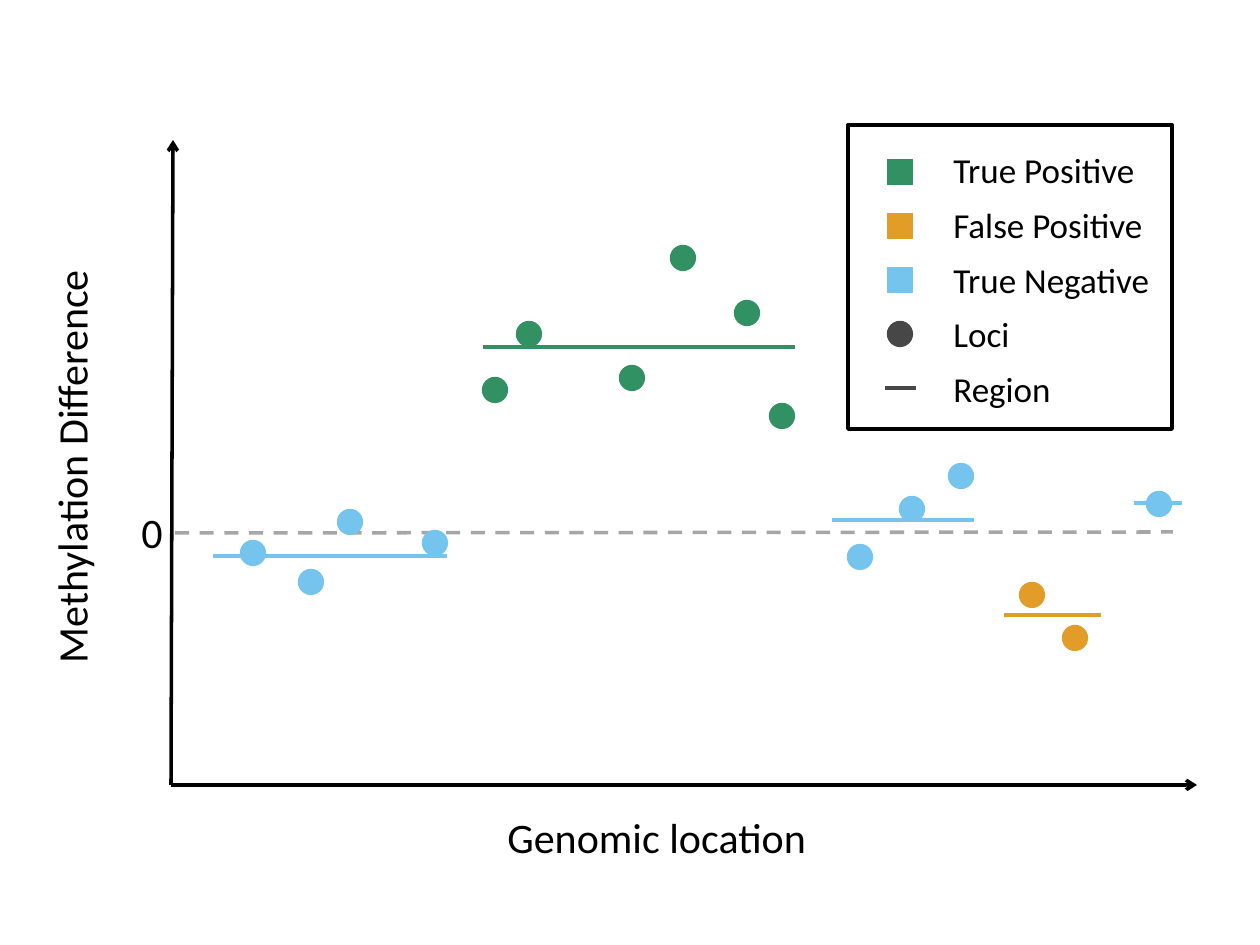
from lxml import etree
from pptx import Presentation
from pptx.dml.color import RGBColor
from pptx.enum.dml import MSO_LINE
from pptx.enum.shapes import MSO_CONNECTOR, MSO_SHAPE
from pptx.enum.text import MSO_AUTO_SIZE
from pptx.oxml.ns import qn
from pptx.util import Emu, Pt

STRAIGHT = MSO_CONNECTOR.STRAIGHT
OVAL = MSO_SHAPE.OVAL
RECT = MSO_SHAPE.RECTANGLE
DASH = MSO_LINE.DASH
GROW = MSO_AUTO_SIZE.SHAPE_TO_FIT_TEXT

FONT = "Calibri"
BLACK, GRAY, DARK = "000000", "A6A6A6", "474747"
GREEN, ORANGE, BLUE = "319162", "E29D28", "74C4ED"
MARK = 25

REGIONS = [
    (BLUE, 42, 276, 416, [(82, 413), (140, 442), (179, 382), (264, 403)]),
    (GREEN, 312, 624, 207, [(324, 250), (358, 194), (461, 238),
                            (512, 118), (576, 173), (611, 276)]),
    (BLUE, 661, 803, 380, [(689, 417), (741, 369), (790, 336)]),
    (ORANGE, 833, 930, 475, [(861, 455), (904, 498)]),
    (BLUE, 963, 1011, 363, [(988, 364)]),
]
LEGEND = [
    ("True Positive", RECT, GREEN),
    ("False Positive", RECT, ORANGE),
    ("True Negative", RECT, BLUE),
    ("Loci", OVAL, DARK),
    ("Region", None, DARK),
]


def px(n):
    return Emu(round(n * 914400 / 126))


def rgb(color):
    return RGBColor.from_string(color)


def add_line(s, x1, y1, x2, y2, color, dash=None, arrow=False):
    c = s.shapes.add_connector(STRAIGHT, px(x1), px(y1), px(x2), px(y2))
    c.line.color.rgb = rgb(color)
    c.line.width = Pt(2)
    if dash:
        c.line.dash_style = dash
    if arrow:
        etree.SubElement(c.line._get_or_add_ln(), qn("a:tailEnd"), type="arrow")
    etree.SubElement(c._element.spPr, qn("a:effectLst"))


def add_box(s, kind, x, y, w, h, line, fill=None, weight=0.75):
    sp = s.shapes.add_shape(kind, px(x), px(y), px(w), px(h))
    sp.shadow.inherit = False
    if fill:
        sp.fill.solid()
        sp.fill.fore_color.rgb = rgb(fill)
    else:
        sp.fill.background()
    sp.line.color.rgb = rgb(line)
    sp.line.width = Pt(weight)


def add_mark(s, kind, cx, cy, color):
    add_box(s, kind, cx - MARK / 2, cy - MARK / 2, MARK, MARK, color, fill=color)


def add_text(s, text, x, y, w, h, size=24, rotation=0, spacing=None):
    sp = s.shapes.add_textbox(px(x), px(y), px(w), px(h))
    sp.rotation = rotation
    tf = sp.text_frame
    tf.word_wrap = False
    tf.auto_size = GROW
    tf.text = text
    for p in tf.paragraphs:
        p.line_spacing = spacing
        for r in p.runs:
            r.font.name = FONT
            r.font.size = Pt(size)
            r.font.color.rgb = rgb(BLACK)


def add_plot(s, x, y, w, h):
    add_line(s, x, y + h, x + 2, y, BLACK, arrow=True)
    add_line(s, x, y + h, x + w, y + h, BLACK, arrow=True)
    add_text(s, "Genomic location", x + 324, y + h + 20, 328, 63)
    add_text(s, "Methylation Difference", x - 313, y + 291, 426, 63, rotation=270)
    add_text(s, "0", x - 42, y + 360, 47, 63)
    add_line(s, x + 4, y + 393, x + 1002, y + 392, GRAY, dash=DASH)
    for color, start, end, level, loci in REGIONS:
        for cx, cy in loci:
            add_mark(s, OVAL, x + cx, y + cy, color)
        add_line(s, x + start, y + level, x + end, y + level, color)


def add_legend(s, x, y, w, h):
    add_box(s, RECT, x, y, w, h, BLACK, weight=2.25)
    labels = "\n".join(label for label, _, _ in LEGEND)
    add_text(s, labels, x + 93, y + 5, 227, 286, size=20, spacing=1.3)
    for i, (_, kind, color) in enumerate(LEGEND):
        cy = y + 47 + 54 * i
        if kind is None:
            add_line(s, x + 37, cy, x + 68, cy, color)
        else:
            add_mark(s, kind, x + 52, cy, color)


prs = Presentation()
prs.slide_width, prs.slide_height = px(1260), px(945)
s = prs.slides.add_slide(prs.slide_layouts[6])
add_plot(s, 171, 140, 1026, 645)
add_legend(s, 848, 125, 324, 304)
prs.save("out.pptx")
